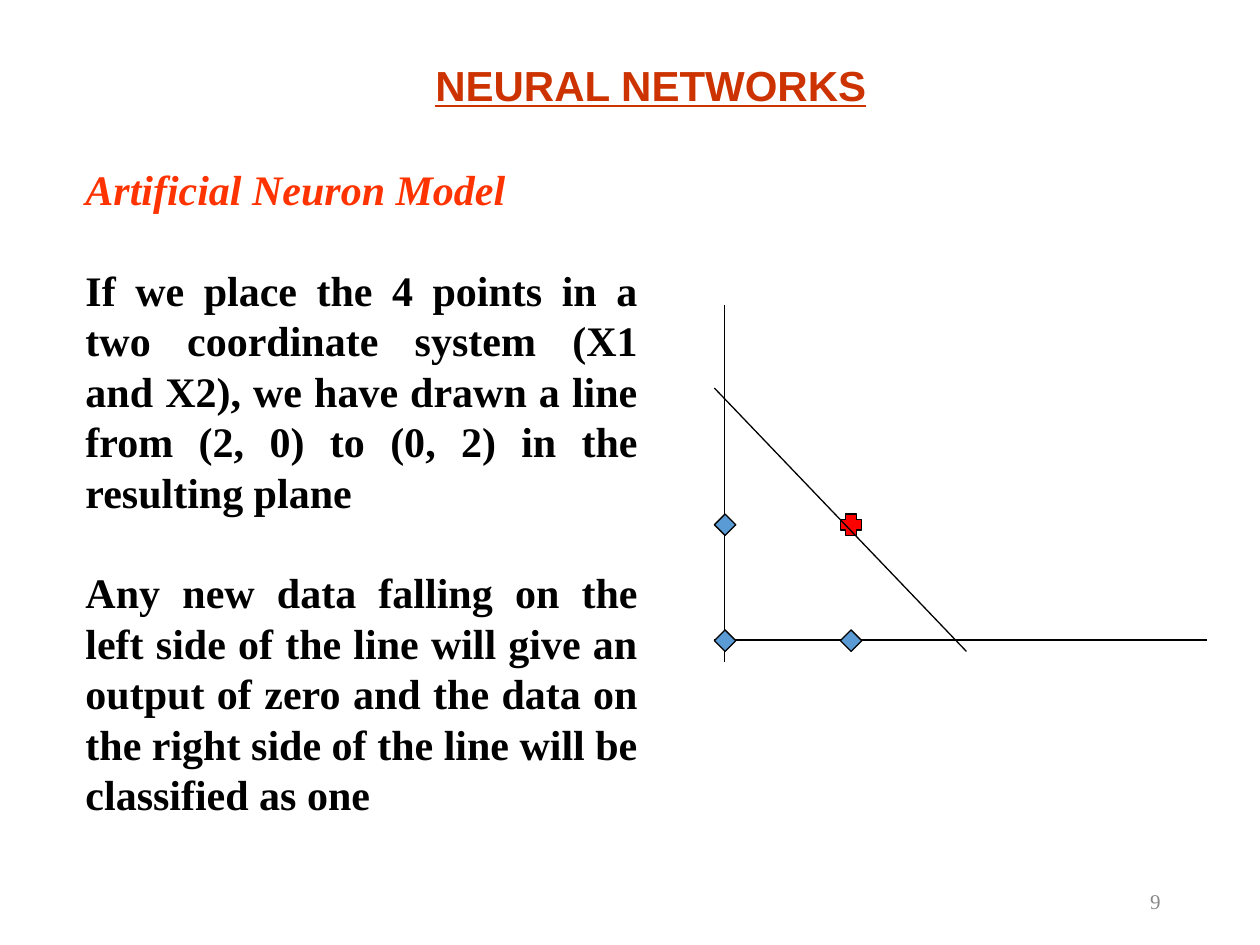
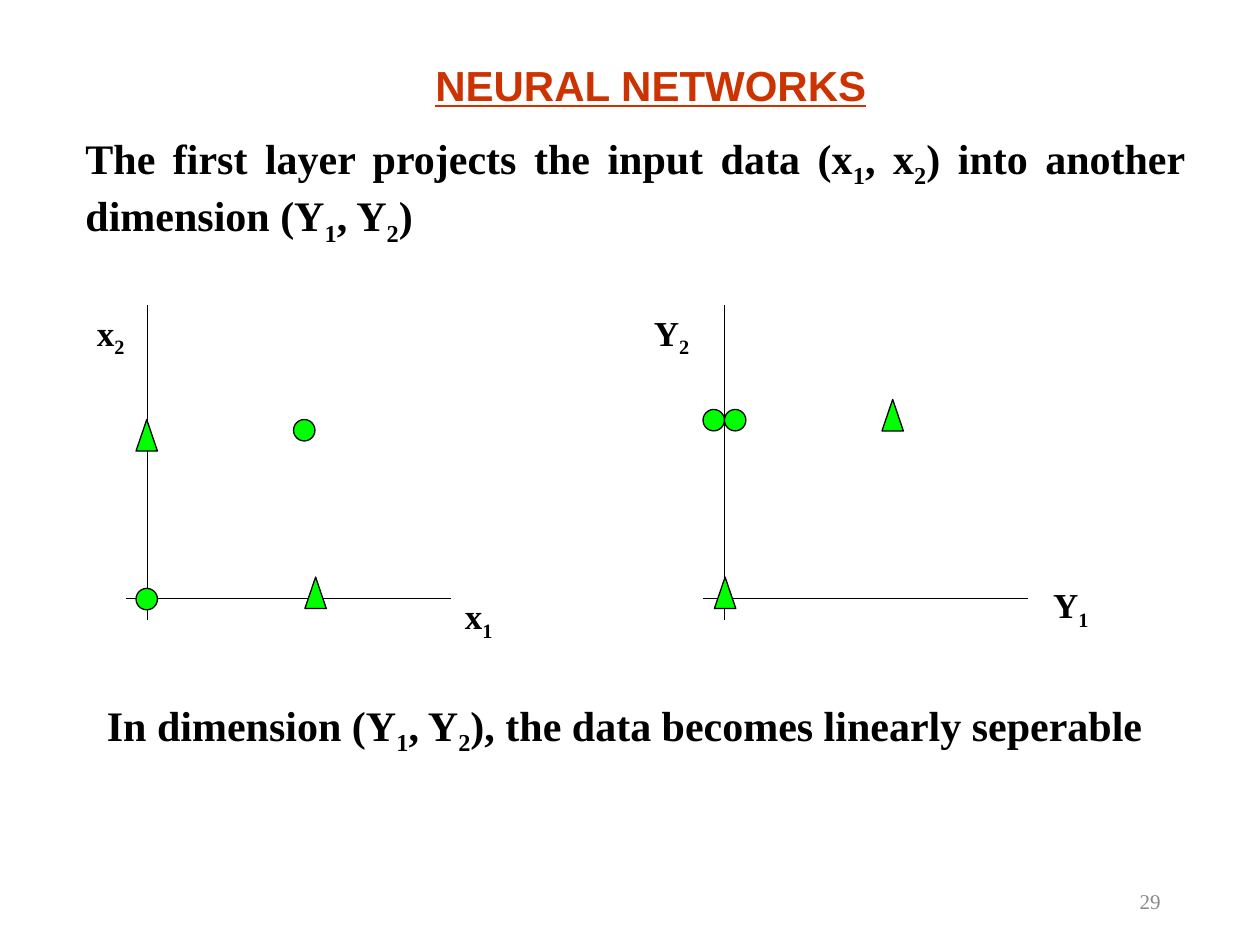
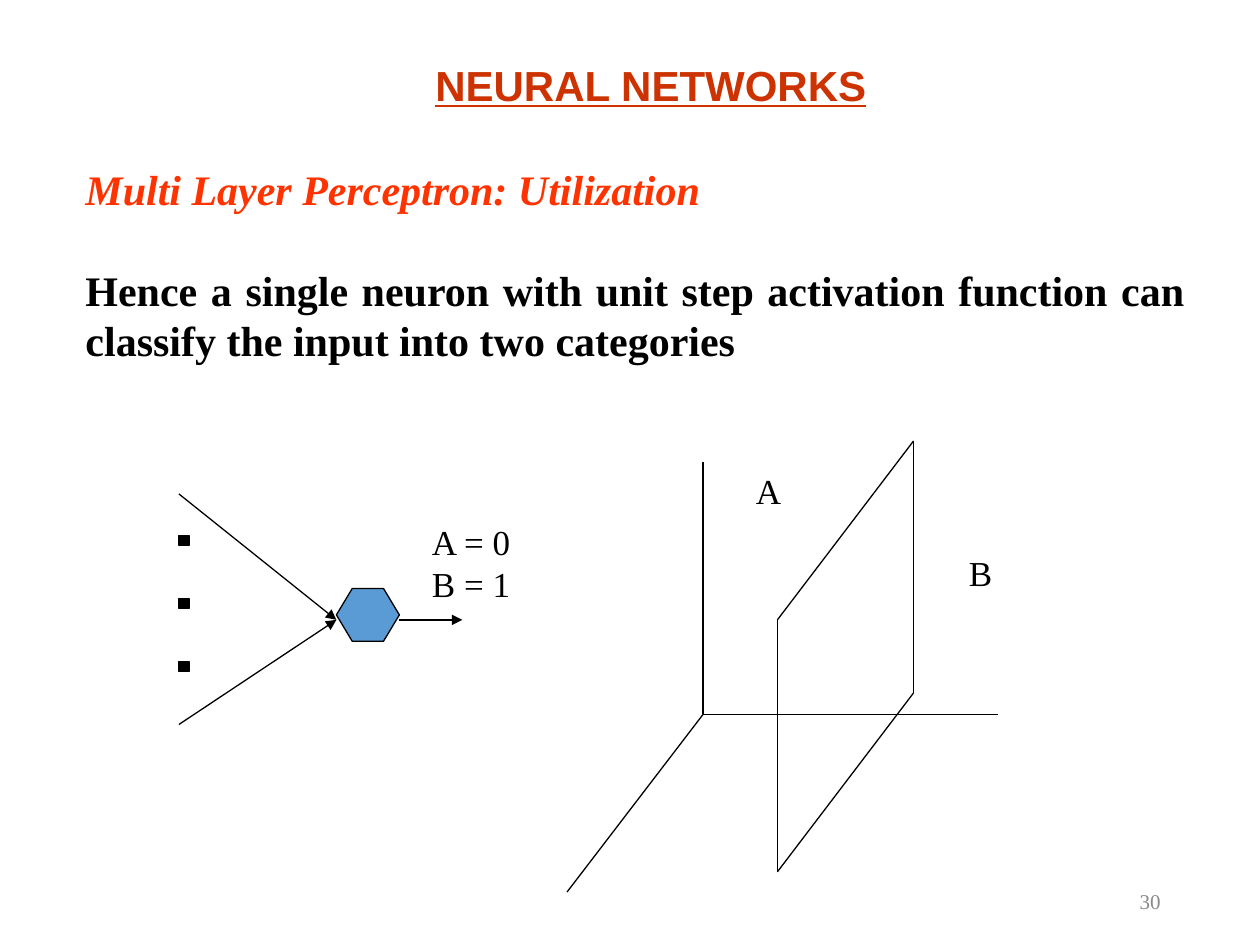
"""Build three slides on neural networks and linear separability."""
import pptx
import pptx.dml.color
import pptx.enum.shapes
import pptx.enum.text
import pptx.oxml.ns
import pptx.util
from lxml import etree

Inches = pptx.util.Inches
Pt = pptx.util.Pt
SHAPES = pptx.enum.shapes.MSO_SHAPE
ALIGN = pptx.enum.text.PP_ALIGN
ANCHOR = pptx.enum.text.MSO_ANCHOR

SERIF = "Times New Roman"
SANS = "Arial"
BLACK = "000000"
TITLE_RED = "CC3300"
HEADING_RED = "FF3300"
NUMBER_GREY = "898989"
NEURON_BLUE = "5B9BD5"
ON_RED = "FF0000"
CLASS_GREEN = "00FF00"
LINE_WIDTH = 0.75
BODY_LEFT = 0.58
BODY_WIDTH = 8.92
PARAGRAPH_GAP = 28.8


def color(hex_value):
    """Return the colour for a hex string."""
    return pptx.dml.color.RGBColor.from_string(hex_value)


def style_span(span, size, hex_value, name=SERIF, bold=False, italic=False):
    """Format one run."""
    span.font.name = name
    span.font.size = Pt(size)
    span.font.bold = bold
    span.font.italic = italic
    span.font.color.rgb = color(hex_value)


def fill_paragraph(para, text, size, hex_value=BLACK, bold=False, italic=False):
    """Write text in which an underscore lowers the next character."""
    first, *rest = text.split("_")
    pieces = [(first, False)]
    for part in rest:
        pieces += [(part[0], True), (part[1:], False)]
    for words, lowered in pieces:
        if words:
            span = para.add_run()
            span.text = words
            style_span(span, size, hex_value, bold=bold, italic=italic)
            if lowered:
                span.font._element.set("baseline", "-25000")


def add_box(page, left, top, width, height, wrap=True):
    """Add an empty text box and return its text frame."""
    box = page.shapes.add_textbox(Inches(left), Inches(top), Inches(width), Inches(height))
    box.text_frame.word_wrap = wrap
    return box.text_frame


def add_label(page, left, top, width, lines, bold=False):
    """Add a short diagram label that does not wrap."""
    frame = add_box(page, left, top, width, 0.1 + 0.34 * len(lines), wrap=False)
    for index, line in enumerate(lines):
        para = frame.add_paragraph() if index else frame.paragraphs[0]
        fill_paragraph(para, line, 20, bold=bold)


def add_body(page, left, top, width, height, paragraphs, heading=None):
    """Add justified bold text under an optional red heading."""
    frame = add_box(page, left, top, width, height)
    lines = ([heading] if heading else []) + paragraphs
    for index, line in enumerate(lines):
        para = frame.add_paragraph() if index else frame.paragraphs[0]
        para.alignment = ALIGN.JUSTIFY
        para.space_before = Pt(PARAGRAPH_GAP if index else 0)
        is_heading = line == heading
        fill_paragraph(para, line, 24, HEADING_RED if is_heading else BLACK,
                       bold=True, italic=is_heading)


def add_line(page, start, end, arrow=False):
    """Draw a thin black line, with an arrowhead at its end if wanted."""
    line = page.shapes.add_connector(
        pptx.enum.shapes.MSO_CONNECTOR.STRAIGHT, *map(Inches, (*start, *end)))
    line.line.color.rgb = color(BLACK)
    line.line.width = Pt(LINE_WIDTH)
    if arrow:
        etree.SubElement(line.line._get_or_add_ln(),
                         pptx.oxml.ns.qn("a:tailEnd"), type="triangle")
    etree.SubElement(line._element.spPr, pptx.oxml.ns.qn("a:effectLst"))


def add_marker(page, kind, left, top, width, height, hex_value):
    """Add a filled shape with a thin black outline."""
    marker = page.shapes.add_shape(kind, *map(Inches, (left, top, width, height)))
    marker.shadow.inherit = False
    marker.fill.solid()
    marker.fill.fore_color.rgb = color(hex_value)
    marker.line.color.rgb = color(BLACK)
    marker.line.width = Pt(LINE_WIDTH)
    return marker


def add_page(deck, number):
    """Add a slide with the shared title and its number."""
    page = deck.slides.add_slide(deck.slide_layouts[5])
    title = page.shapes.title
    title.left, title.top, title.width, title.height = map(Inches, (1.25, 0.42, 7.83, 0.5))
    frame = title.text_frame
    frame.text = "NEURAL NETWORKS"
    frame.vertical_anchor = ANCHOR.TOP
    frame.paragraphs[0].alignment = ALIGN.CENTER
    span = frame.paragraphs[0].runs[0]
    style_span(span, 24, TITLE_RED, SANS, bold=True)
    span.font.underline = True

    frame = add_box(page, 7.06, 6.95, 2.25, 0.4)
    frame.vertical_anchor = ANCHOR.MIDDLE
    frame.paragraphs[0].alignment = ALIGN.RIGHT
    fill_paragraph(frame.paragraphs[0], str(number), 12, NUMBER_GREY)
    return page


def draw_and_plane(page, left, top):
    """Draw the four input points and the line that separates them."""
    base = top + 2.66
    add_line(page, (left, base), (left + 3.91, base))
    add_line(page, (left + 0.08, top), (left + 0.08, top + 2.83))
    for x1 in (0, 1):
        for x2 in (0, 1):
            fires = x1 and x2
            marker = add_marker(page, SHAPES.CROSS if fires else SHAPES.DIAMOND,
                                left + x1, base - 0.08 - 0.92 * x2, 0.17, 0.17,
                                ON_RED if fires else NEURON_BLUE)
            if fires:
                marker.adjustments[0] = 0.25
    add_line(page, (left + 2, top + 2.75), (left, top + 0.66))


def draw_class_plot(page, left, top, circles, triangles, labels):
    """Draw a pair of axes with two classes of points and axis labels."""
    add_line(page, (left + 0.17, top), (left + 0.17, top + 2.5))
    add_line(page, (left, top + 2.33), (left + 2.58, top + 2.33))
    for kind, height, points in ((SHAPES.OVAL, 0.17, circles),
                                 (SHAPES.ISOSCELES_TRIANGLE, 0.25, triangles)):
        for x, y in points:
            add_marker(page, kind, left + x, top + y, 0.17, height, CLASS_GREEN)
    for text, x, y, width in labels:
        add_label(page, left + x, top + y, width, [text], bold=True)


def draw_neuron(page, left, top):
    """Draw a neuron with many inputs and one output."""
    neuron = add_marker(page, SHAPES.HEXAGON, left + 1.25, top + 0.75, 0.5, 0.42, NEURON_BLUE)
    neuron.adjustments[0] = 0.3
    for start in (0, 1.83):
        add_line(page, (left, top + start), (left + 1.25, top + 1), arrow=True)
    for index in range(3):
        add_marker(page, SHAPES.RECTANGLE, left, top + 0.33 + 0.5 * index, 0.08, 0.08, BLACK)
    add_line(page, (left + 1.75, top + 1), (left + 2.25, top + 1), arrow=True)
    add_label(page, left + 1.91, top + 0.16, 0.83, ["A = 0", "B = 1"])


def draw_space(page, left, top):
    """Draw three axes and the plane that parts regions A and B."""
    origin = (left + 1.08, top + 2.17)
    for end in ((1.08, 0.17), (3.42, 2.17), (0, 3.58)):
        add_line(page, origin, (left + end[0], top + end[1]))
    near, far = left + 1.67, left + 2.75
    corners = [(far, top), (near, top + 1.42), (near, top + 3.42), (far, top + 2)]
    for start, end in zip(corners, corners[1:] + corners[:1]):
        add_line(page, start, end)
    add_label(page, left + 1.4, top + 0.18, 0.4, ["A"])
    add_label(page, left + 3.09, top + 0.83, 0.38, ["B"])


def build_neuron_model(deck):
    """Build the slide on the artificial neuron model."""
    page = add_page(deck, 9)
    add_body(page, BODY_LEFT, 1.25, 4.58, 5.3, [
        "If we place the 4 points in a two coordinate system (X1 and X2), we have "
        "drawn a line from (2, 0) to (0, 2) in the resulting plane",
        "Any new data falling on the left side of the line will give an output of "
        "zero and the data on the right side of the line will be classified as one",
    ], heading="Artificial Neuron Model")
    draw_and_plane(page, 5.67, 2.42)


def build_projection(deck):
    """Build the slide on projecting the input data."""
    page = add_page(deck, 29)
    add_body(page, BODY_LEFT, 1, BODY_WIDTH, 1.01, [
        "The first layer projects the input data (x_1, x_2) into another dimension (Y_1, Y_2)"])
    draw_class_plot(page, 1, 2.42,
                    circles=[(1.33, 0.91), (0.08, 2.25)],
                    triangles=[(1.42, 2.16), (0.08, 0.91)],
                    labels=[("x_2", -0.33, 0, 0.42), ("x_1", 2.59, 2.25, 0.42)])
    draw_class_plot(page, 5.58, 2.42,
                    circles=[(0, 0.83), (0.17, 0.83)],
                    triangles=[(0.09, 2.16), (1.42, 0.75)],
                    labels=[("Y_2", -0.49, 0, 0.48), ("Y_1", 2.68, 2.16, 0.48)])
    add_body(page, 0.75, 5.5, BODY_WIDTH, 0.56, [
        "In dimension (Y_1, Y_2), the data becomes linearly seperable"])


def build_utilization(deck):
    """Build the slide on using a single neuron as a classifier."""
    page = add_page(deck, 30)
    add_body(page, BODY_LEFT, 1.25, BODY_WIDTH, 1.7, [
        "Hence a single neuron with unit step activation function can classify "
        "the input into two categories",
    ], heading="Multi Layer Perceptron: Utilization")
    draw_neuron(page, 1.42, 3.92)
    draw_space(page, 4.5, 3.5)


def main():
    """Build and save the deck."""
    deck = pptx.Presentation()
    deck.slide_width = Inches(10)
    deck.slide_height = Inches(7.5)
    build_neuron_model(deck)
    build_projection(deck)
    build_utilization(deck)
    deck.save("out.pptx")


if __name__ == "__main__":
    main()
